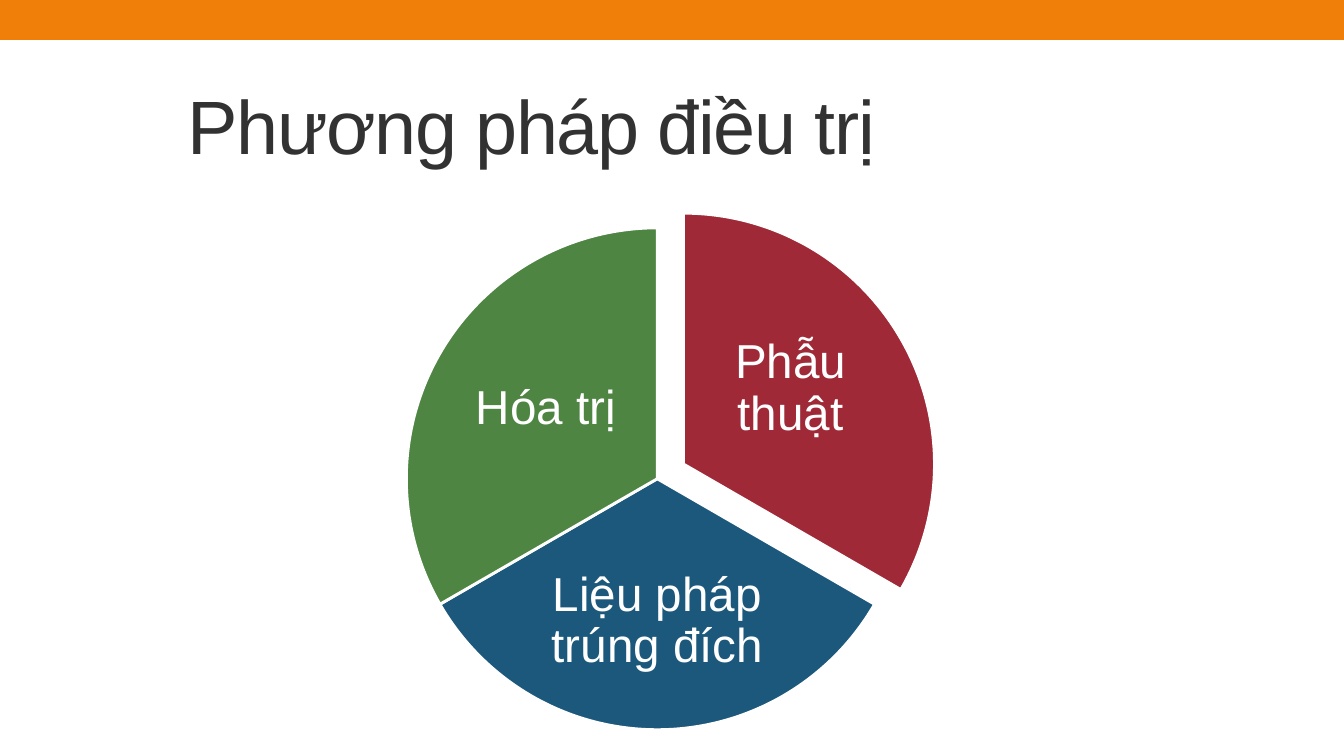
from pptx import Presentation
from pptx.dml.color import RGBColor
from pptx.enum.shapes import MSO_SHAPE
from pptx.enum.text import MSO_ANCHOR, MSO_AUTO_SIZE, PP_ALIGN
from pptx.util import Emu, Pt

PX = 9525  # EMU per px, 96 px to the inch
FONT = "Arial"
ORANGE = RGBColor(0xF0, 0x7F, 0x09)
RED = RGBColor(0x9F, 0x29, 0x36)
BLUE = RGBColor(0x1B, 0x58, 0x7C)
GREEN = RGBColor(0x4E, 0x85, 0x42)
DARK = RGBColor(0x32, 0x32, 0x32)
WHITE = RGBColor(0xFF, 0xFF, 0xFF)

DIAMETER = 478
# label, colour, left and top of the pie, label box
TREATMENTS = [
    ("Phẫu thuật", RED, (412, 203), (672, 291, 162, 159)),
    ("Liệu pháp trúng đích", BLUE, (387, 217), (518, 518, 216, 148)),
    ("Hóa trị", GREEN, (387, 217), (439, 310, 162, 159)),
]


def px(*lengths):
    return [Emu(n * PX) for n in lengths]


def set_all(obj, values):
    for name, value in values.items():
        setattr(obj, name, value)


def write(tf, text, size, color, frame, paragraph):
    """Put one formatted run into a text frame."""
    set_all(tf, {"word_wrap": True, "auto_size": MSO_AUTO_SIZE.NONE,
                 "vertical_anchor": MSO_ANCHOR.MIDDLE, **frame})
    p = tf.paragraphs[0]
    set_all(p, paragraph)
    r = p.add_run()
    r.text = text
    set_all(r.font, {"name": FONT, "size": Pt(size), "bold": False})
    r.font.color.rgb = color
    return r


def add_filled(s, kind, box, color):
    sp = s.shapes.add_shape(kind, *px(*box))
    sp.shadow.inherit = False
    sp.fill.solid()
    sp.fill.fore_color.rgb = color
    sp.line.fill.background()
    return sp


def add_title(s, text):
    sp = s.shapes.title
    set_all(sp, dict(zip(("left", "top", "width", "height"), px(169, 51, 936, 134))))
    r = write(sp.text_frame, text, 54, DARK, {}, {"alignment": PP_ALIGN.LEFT})
    r._r.get_or_add_rPr().set("spc", "-100")


def add_slice(s, corner, color, start, end):
    """Draw a sector between two angles, in degrees clockwise from three o'clock."""
    sp = add_filled(s, MSO_SHAPE.PIE, (*corner, DIAMETER, DIAMETER), color)
    for i, angle in enumerate((start, end)):
        sp.adjustments[i] = angle % 360 * 0.6
    sp.line.color.rgb = WHITE
    sp.line.width = Pt(2.08)


def add_label(s, text, box):
    tf = s.shapes.add_textbox(*px(*box)).text_frame
    margins = {f"margin_{side}": Emu(5 * PX) for side in ("left", "top", "right", "bottom")}
    write(tf, text, 34, WHITE, margins,
          {"alignment": PP_ALIGN.CENTER, "line_spacing": 0.9})


def main():
    prs = Presentation()
    prs.slide_width, prs.slide_height = px(1280, 720)
    s = prs.slides.add_slide(prs.slide_layouts[5])
    add_filled(s, MSO_SHAPE.RECTANGLE, (0, 0, 1280, 38), ORANGE)
    add_title(s, "Phương pháp điều trị")
    sweep = 360 // len(TREATMENTS)
    for i, (text, color, corner, box) in enumerate(TREATMENTS):
        start = i * sweep - 90
        add_slice(s, corner, color, start, start + sweep)
        add_label(s, text, box)
    prs.save("out.pptx")


if __name__ == "__main__":
    main()
